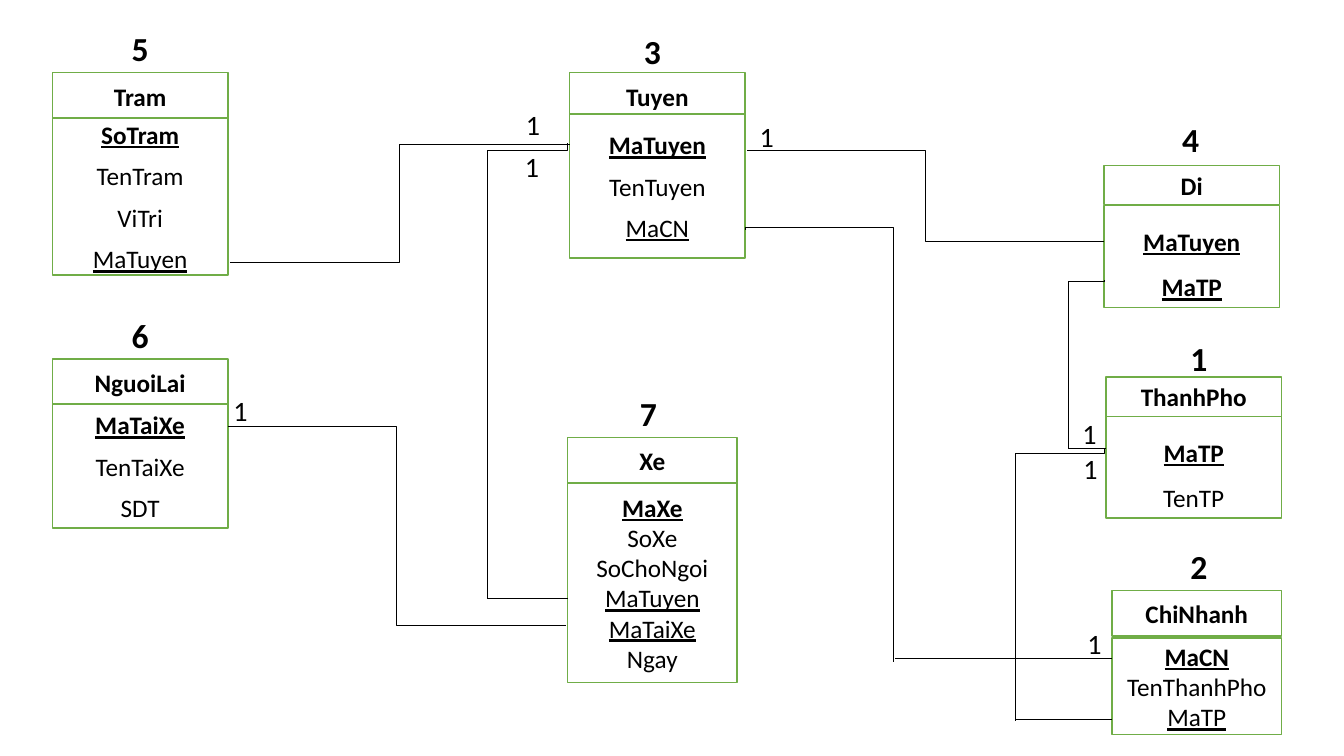
"""Build a relational schema slide with seven linked tables."""
from lxml import etree
from pptx import Presentation
from pptx.dml.color import RGBColor
from pptx.enum.shapes import MSO_CONNECTOR, MSO_SHAPE
from pptx.enum.text import MSO_ANCHOR, PP_ALIGN
from pptx.oxml.ns import qn
from pptx.util import Inches, Pt

BLACK = RGBColor(0x00, 0x00, 0x00)
WHITE = RGBColor(0xFF, 0xFF, 0xFF)
GREEN = RGBColor(0x70, 0xAD, 0x47)
FONT = "Calibri"

PRIMARY, FOREIGN, PLAIN = (True, True), (False, True), (False, False)
HEADING = (True, False)

# name, left, width, head top, head height, body top, body height, spacing, fields
TABLES = [
    ("Tuyen", 5.65, 1.74, 0.72, 0.45, 1.13, 1.43, "spaced",
     [("MaTuyen", PRIMARY), ("TenTuyen", PLAIN), ("MaCN", FOREIGN)]),
    ("Di", 10.95, 1.74, 1.64, 0.39, 2.04, 1.01, "wide",
     [("MaTuyen", PRIMARY), ("MaTP", PRIMARY)]),
    ("Xe", 5.63, 1.68, 4.34, 0.45, 4.79, 1.98, "tight",
     [("MaXe", PRIMARY), ("SoXe", PLAIN), ("SoChoNgoi", PLAIN),
      ("MaTuyen", FOREIGN), ("MaTaiXe", FOREIGN), ("Ngay", PLAIN)]),
    ("Tram", 0.52, 1.74, 0.72, 0.45, 1.17, 1.56, "spaced",
     [("SoTram", PRIMARY), ("TenTram", PLAIN), ("ViTri", PLAIN), ("MaTuyen", FOREIGN)]),
    ("ChiNhanh", 11.03, 1.68, 5.86, 0.45, 6.33, 0.96, "tight",
     [("MaCN", PRIMARY), ("TenThanhPho", PLAIN), ("MaTP", FOREIGN)]),
    ("NguoiLai", 0.52, 1.74, 3.56, 0.45, 4.01, 1.23, "spaced",
     [("MaTaiXe", PRIMARY), ("TenTaiXe", PLAIN), ("SDT", PLAIN)]),
    ("ThanhPho", 10.97, 1.74, 3.74, 0.39, 4.13, 1.01, "wide",
     [("MaTP", PRIMARY), ("TenTP", PLAIN)]),
]
# (line spacing, space after) for the heading and for the fields
SPACING = {
    "spaced": ((1.07, 8), (1.0, 8)),
    "wide": ((1.0, 0), (1.5, 0)),
    "tight": ((1.0, 0), (1.0, 0)),
}
STRAIGHT_LINKS = [
    (8.88, 6.53, 11.03, 6.53),
    (5.63, 5.94, 4.83, 5.94),
    (10.6, 4.45, 10.97, 4.45),
    (10.07, 7.14, 11.03, 7.14),
]
SIDE_LINKS = [
    (2.28, 2.6, 5.65, 1.43),
    (2.26, 4.23, 5.61, 6.2),
    (7.41, 1.49, 10.95, 2.39),
]
# start x, start y, end x, end y, bend in thousandths of the drop
DROP_LINKS = [
    (7.39, 2.28, 8.86, 6.57, -6),
    (5.63, 1.42, 4.83, 5.94, 16),
    (10.95, 2.78, 10.6, 4.45, 5),
    (10.95, 4.45, 10.07, 7.15, 18),
]
ONES = [(5.09, 1.06), (5.08, 1.47), (10.66, 6.2), (10.61, 4.12),
        (10.62, 4.47), (7.41, 1.17), (2.19, 3.89)]
NUMBERS = [("1", 11.57, 3.35), ("2", 11.57, 5.41), ("3", 6.15, 0.3), ("4", 11.49, 1.18),
           ("5", 1.07, 0.27), ("6", 1.07, 3.12), ("7", 6.11, 3.89)]


def write(p, text, size, style, line_spacing, space_after=0):
    p.text = text
    p.alignment = PP_ALIGN.CENTER
    p.line_spacing = line_spacing
    p.space_after = Pt(space_after)
    p.font.name = FONT
    p.font.size = Pt(size)
    p.font.color.rgb = BLACK
    p.font.bold, p.font.underline = style


def add_box(s, left, top, width, height, rows, spacing):
    sp = s.shapes.add_shape(MSO_SHAPE.RECTANGLE, Inches(left), Inches(top),
                            Inches(width), Inches(height))
    sp.shadow.inherit = False
    sp.fill.solid()
    sp.fill.fore_color.rgb = WHITE
    sp.line.color.rgb = GREEN
    sp.line.width = Pt(1)
    tf = sp.text_frame
    tf.word_wrap = True
    tf.vertical_anchor = MSO_ANCHOR.MIDDLE
    for i, (text, style) in enumerate(rows):
        p = tf.add_paragraph() if i else tf.paragraphs[0]
        write(p, text, 18, style, *spacing)


def add_link(s, kind, x1, y1, x2, y2):
    link = s.shapes.add_connector(kind, Inches(x1), Inches(y1), Inches(x2), Inches(y2))
    link.line.color.rgb = BLACK
    link.line.width = Pt(0.5)
    etree.SubElement(link._element.spPr, qn("a:effectLst"))
    return link


def add_drop(s, x1, y1, x2, y2, bend):
    """Add an elbow that leaves vertically: a side elbow turned a quarter."""
    drop, run = y2 - y1, abs(x2 - x1)
    left, top = (x1 + x2 - drop) / 2, (y1 + y2 - run) / 2
    ends = (left, left + drop)
    rightward = x2 > x1
    begin, end = ends[::-1] if rightward else ends
    link = add_link(s, MSO_CONNECTOR.ELBOW, begin, top, end, top + run)
    spPr = link._element.spPr
    spPr.find(qn("a:xfrm")).set("rot", str((270 if rightward else 90) * 60000))
    geom = spPr.find(qn("a:prstGeom"))
    guides = geom.find(qn("a:avLst"))
    if guides is None:
        guides = etree.SubElement(geom, qn("a:avLst"))
    etree.SubElement(guides, qn("a:gd"), name="adj1", fmla=f"val {bend * 100}")


def add_label(s, text, left, top, width, height, size, bold):
    tf = s.shapes.add_textbox(Inches(left), Inches(top), Inches(width),
                              Inches(height)).text_frame
    tf.word_wrap = True
    write(tf.paragraphs[0], text, size, (bold, False), 0.9)


def main():
    prs = Presentation()
    prs.slide_width, prs.slide_height = Inches(13.33), Inches(7.5)
    s = prs.slides.add_slide(prs.slide_layouts[6])
    for name, left, width, head_top, head_h, body_top, body_h, spacing, fields in TABLES:
        head_spacing, body_spacing = SPACING[spacing]
        add_box(s, left, head_top, width, head_h, [(name, HEADING)], head_spacing)
        add_box(s, left, body_top, width, body_h, fields, body_spacing)
    for ends in STRAIGHT_LINKS:
        add_link(s, MSO_CONNECTOR.STRAIGHT, *ends)
    for ends in SIDE_LINKS:
        add_link(s, MSO_CONNECTOR.ELBOW, *ends)
    for drop in DROP_LINKS:
        add_drop(s, *drop)
    for left, top in ONES:
        add_label(s, "1", left, top, 0.39, 0.43, 20, False)
    for text, left, top in NUMBERS:
        add_label(s, text, left, top, 0.64, 0.76, 24, True)
    prs.save("out.pptx")


if __name__ == "__main__":
    main()
